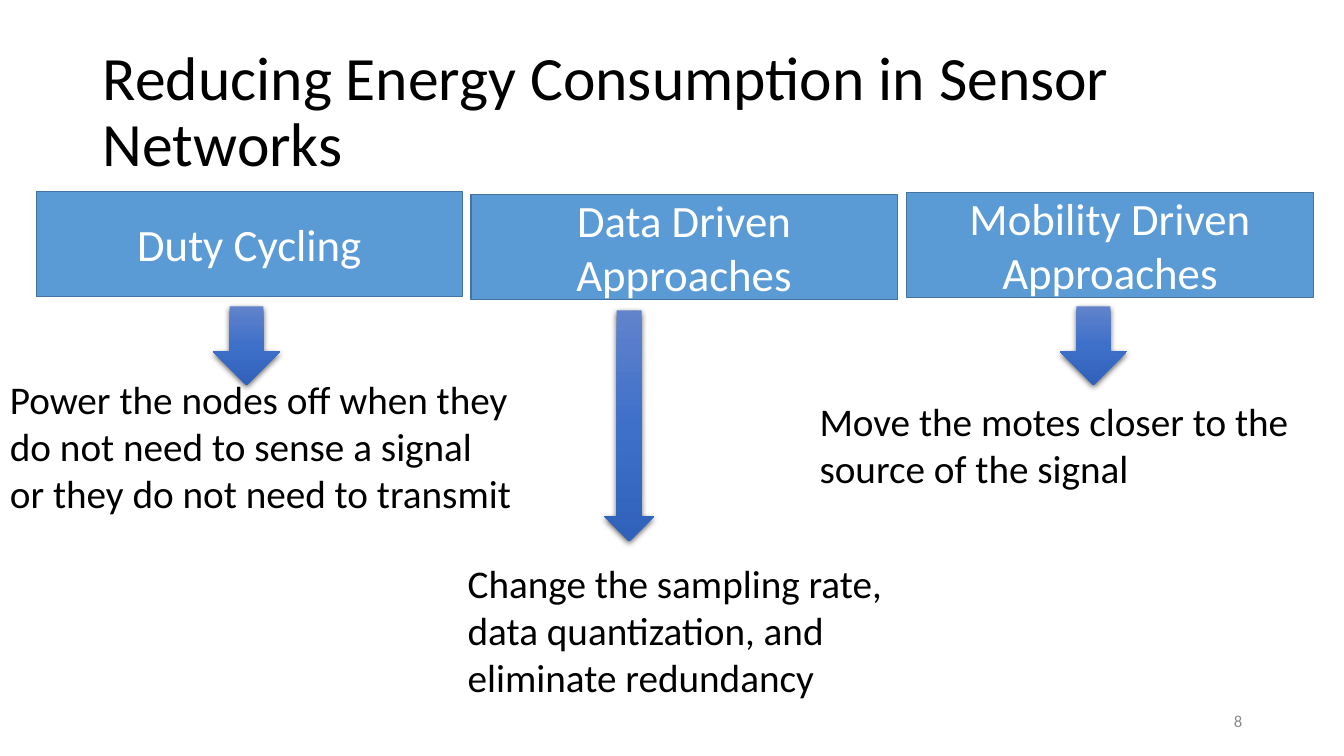
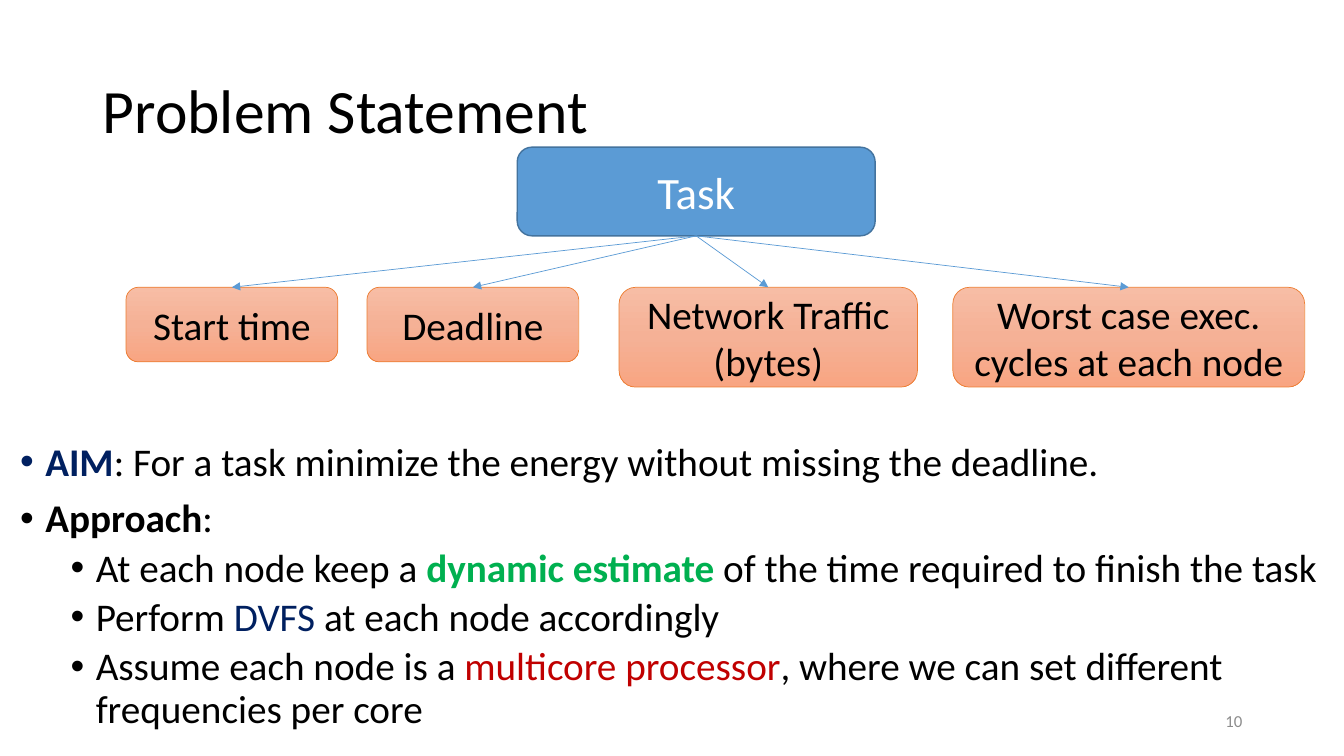
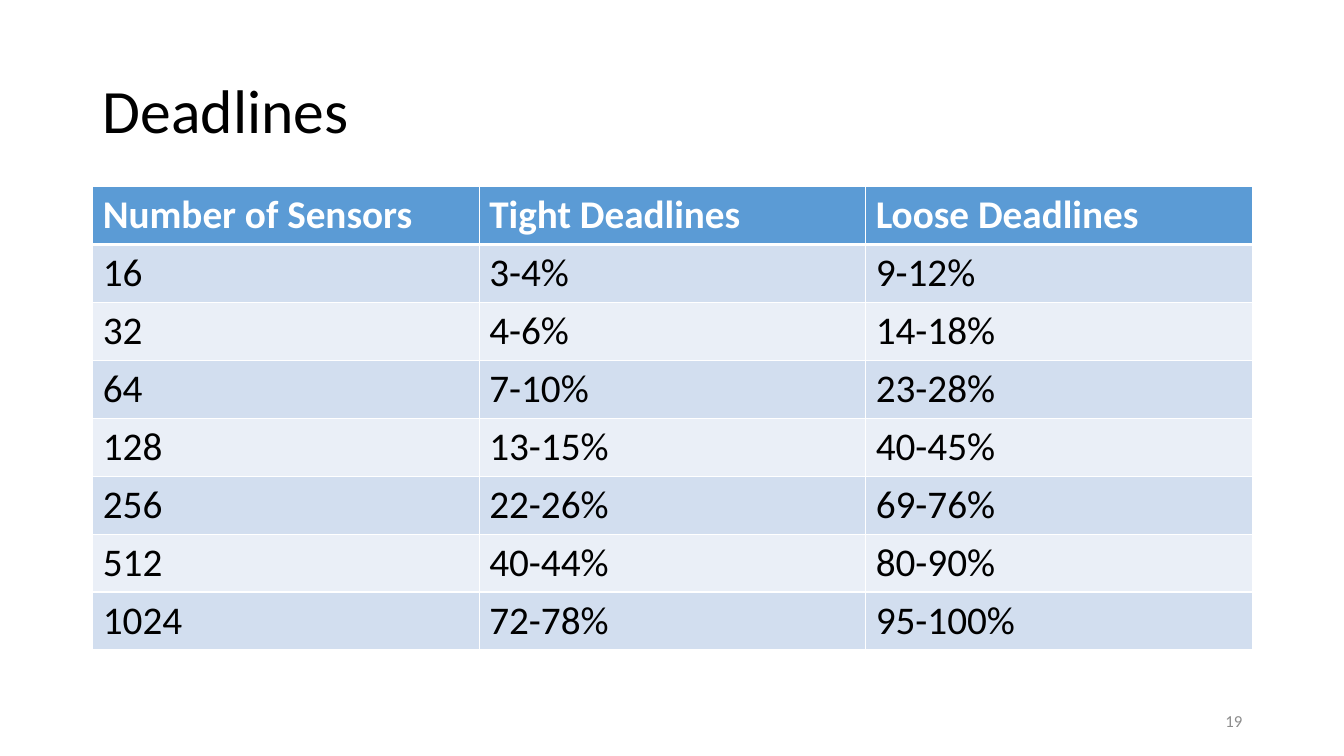
from copy import deepcopy

from lxml.etree import SubElement
from pptx import Presentation
from pptx.dml.color import RGBColor
from pptx.enum.shapes import MSO_CONNECTOR, MSO_SHAPE
from pptx.enum.text import MSO_ANCHOR, MSO_AUTO_SIZE, PP_ALIGN
from pptx.oxml.ns import qn
from pptx.util import Inches, Pt

FONT = "Calibri"
BLACK, WHITE, GREY = "000000", "FFFFFF", "8C8C8C"
BLUE, BLUE_EDGE, ORANGE = "5B9BD5", "43739E", "ED7D31"
NAVY, GREEN, RED = "002060", "00B050", "C00000"
BANDS = ["D2DEEF", "EAEFF7"]
ARROW_GRADIENT = ["6183CB", "3E70CA", "3062BB"]
PEACH_GRADIENT = ["F7BDA5", "F5B196", "F8A582"]

TITLE_AREA = (0.92, 0.4, 11.5, 1.45)
NUMBER_AREA = (9.42, 6.95, 3, 0.4)
TITLE_ONLY, TITLE_AND_BODY = 5, 1

APPROACHES = [
    {
        "name": "Duty Cycling",
        "header": (0.36, 1.9, 4.23, 1.04),
        "arrow": (2.11, 3.04, 0.67, 0.78),
        "note": (0, 3.67, 5.88, 1.51),
        "wrap": True,
        "lines": ["Power the nodes off when they\vdo not need to sense a signal\v"
                  "or they do not need to transmit"],
    },
    {
        "name": "Data Driven Approaches",
        "header": (4.67, 1.93, 4.23, 1.04),
        "arrow": (5.99, 3.08, 0.5, 2.29),
        "note": (4.54, 5.5, 4.35, 1.51),
        "wrap": False,
        "lines": ["Change the sampling rate,", "data quantization, and", "eliminate redundancy"],
    },
    {
        "name": "Mobility Driven Approaches",
        "header": (8.99, 1.91, 4.04, 1.04),
        "arrow": (10.51, 3.04, 0.67, 0.78),
        "note": (8.03, 3.89, 4.9, 1.04),
        "wrap": False,
        "lines": ["Move the motes closer to the", "source of the signal"],
    },
]

TASK_AREA = (5.13, 1.46, 3.55, 0.88)
PROPERTY_TOP = 2.85
TASK_PROPERTIES = [
    ("Start time", 1.25, 2.1, 0.74),
    ("Deadline", 3.64, 2.1, 0.74),
    ("Network Traffic (bytes)", 6.14, 2.96, 0.99),
    ("Worst case exec. cycles at each node", 9.45, 3.49, 0.99),
]

BODY_AREA = (0.1, 4.34, 13.33, 3.16)
STATEMENT = [
    (0, [("AIM", NAVY, True),
         (": For a task minimize the energy without missing the deadline.", BLACK, False)]),
    (0, [("Approach", BLACK, True), (":", BLACK, False)]),
    (1, [("At each node keep a ", BLACK, False), ("dynamic estimate ", GREEN, True),
         ("of the time required to finish the task", BLACK, False)]),
    (1, [("Perform ", BLACK, False), ("DVFS", NAVY, False),
         (" at each node accordingly", BLACK, False)]),
    (1, [("Assume each node is a ", BLACK, False), ("multicore processor", RED, False),
         (", where we can set different frequencies per core", BLACK, False)]),
]
LEVELS = [{"indent": 0.25, "before": 10}, {"indent": 0.75, "before": 5}]

TABLE_AREA = (0.92, 1.85, 11.5, 4.6)
DEADLINES = [
    ("Number of Sensors", "Tight Deadlines", "Loose Deadlines"),
    ("16", "3-4%", "9-12%"),
    ("32", "4-6%", "14-18%"),
    ("64", "7-10%", "23-28%"),
    ("128", "13-15%", "40-45%"),
    ("256", "22-26%", "69-76%"),
    ("512", "40-44%", "80-90%"),
    ("1024", "72-78%", "95-100%"),
]


def colour(value):
    return RGBColor.from_string(value)


def area(values):
    return [Inches(value) for value in values]


def assign(target, values):
    for name, value in values.items():
        setattr(target, name, value)


def style_span(span, size, ink, bold=False):
    assign(span.font, {"name": FONT, "size": Pt(size), "bold": bold})
    span.font.color.rgb = colour(ink)


def write(frame, lines, size, ink, bold=False, **layout):
    for index, line in enumerate(lines):
        para = frame.paragraphs[0] if index == 0 else frame.add_paragraph()
        para.text = line
        assign(para, layout)
        for span in para.runs:
            style_span(span, size, ink, bold)


def place(shape, values):
    assign(shape, dict(zip(("left", "top", "width", "height"), area(values))))


def add_page(deck, layout, title, number):
    page = deck.slides.add_slide(deck.slide_layouts[layout])
    heading = page.shapes.title
    place(heading, TITLE_AREA)
    assign(heading.text_frame, {"word_wrap": True, "auto_size": MSO_AUTO_SIZE.NONE,
                                "vertical_anchor": MSO_ANCHOR.MIDDLE})
    write(heading.text_frame, [title], 44, BLACK, alignment=PP_ALIGN.LEFT, line_spacing=0.9)
    box = page.shapes.add_textbox(*area(NUMBER_AREA))
    assign(box.text_frame, {"word_wrap": True, "vertical_anchor": MSO_ANCHOR.MIDDLE})
    write(box.text_frame, [number], 12, GREY, alignment=PP_ALIGN.RIGHT)
    return page


def fill_gradient(shape, inks):
    shape.fill.gradient()
    shape.fill.gradient_angle = 270
    stops = shape._element.spPr.find(".//" + qn("a:gsLst"))
    stops.append(deepcopy(stops[0]))
    for index, (stop, ink) in enumerate(zip(shape.fill.gradient_stops, inks)):
        stop.position = index / 2
        stop.color.rgb = colour(ink)


def add_label(page, kind, values, text, size, ink, edge, edge_width, fill):
    shape = page.shapes.add_shape(kind, *area(values))
    shape.shadow.inherit = False
    if isinstance(fill, list):
        fill_gradient(shape, fill)
    else:
        shape.fill.solid()
        shape.fill.fore_color.rgb = colour(fill)
    shape.line.color.rgb = colour(edge)
    shape.line.width = Pt(edge_width)
    assign(shape.text_frame, {"word_wrap": True, "vertical_anchor": MSO_ANCHOR.MIDDLE})
    write(shape.text_frame, [text], size, ink, alignment=PP_ALIGN.CENTER)
    return shape


def add_block_arrow(page, values):
    arrow = page.shapes.add_shape(MSO_SHAPE.DOWN_ARROW, *area(values))
    fill_gradient(arrow, ARROW_GRADIENT)
    arrow.line.fill.background()
    arrow.shadow.inherit = False
    effects = arrow._element.spPr.find(qn("a:effectLst"))
    shadow = SubElement(effects, qn("a:outerShdw"), blurRad=str(Pt(4.5)), dist=str(Pt(1.5)),
                        dir="5400000", algn="ctr", rotWithShape="0")
    ink = SubElement(shadow, qn("a:srgbClr"), val=BLACK)
    SubElement(ink, qn("a:alpha"), val="63000")


def add_link(page, start, end):
    link = page.shapes.add_connector(MSO_CONNECTOR.STRAIGHT, 0, 0, 0, 0)
    link.begin_connect(start, 2)
    link.end_connect(end, 0)
    link.line.color.rgb = colour(BLUE)
    link.line.width = Pt(0.5)
    properties = link._element.spPr
    SubElement(properties.find(qn("a:ln")), qn("a:tailEnd"), type="triangle")
    SubElement(properties, qn("a:effectLst"))


def add_bullets(frame, items):
    for index, (level, spans) in enumerate(items):
        para = frame.paragraphs[0] if index == 0 else frame.add_paragraph()
        before = LEVELS[level]["before"] if index else 0
        assign(para, {"level": level, "line_spacing": 0.9, "space_before": Pt(before)})
        properties = para._p.get_or_add_pPr()
        properties.set("marL", str(Inches(LEVELS[level]["indent"])))
        properties.set("indent", str(Inches(-0.25)))
        SubElement(properties, qn("a:buFont"), typeface="Arial")
        SubElement(properties, qn("a:buChar"), char="•")
        for text, ink, bold in spans:
            span = para.add_run()
            span.text = text
            style_span(span, 28, ink, bold)


def set_borders(cell, widths):
    properties = cell._tc.get_or_add_tcPr()
    for side, width in widths.items():
        line = SubElement(properties, qn("a:ln" + side), w=str(Pt(width)))
        SubElement(SubElement(line, qn("a:solidFill")), qn("a:srgbClr"), val=WHITE)


def build_approaches(deck):
    page = add_page(deck, TITLE_ONLY, "Reducing Energy Consumption in Sensor Networks", "8")
    for approach in APPROACHES:
        add_label(page, MSO_SHAPE.RECTANGLE, approach["header"], approach["name"],
                  32, WHITE, BLUE_EDGE, 1, BLUE)
        note = page.shapes.add_textbox(*area(approach["note"]))
        assign(note.text_frame, {"word_wrap": approach["wrap"],
                                 "auto_size": MSO_AUTO_SIZE.SHAPE_TO_FIT_TEXT})
        write(note.text_frame, approach["lines"], 28, BLACK)
        add_block_arrow(page, approach["arrow"])


def build_problem(deck):
    page = add_page(deck, TITLE_AND_BODY, "Problem Statement", "10")
    body = page.placeholders[1]
    place(body, BODY_AREA)
    assign(body.text_frame, {"word_wrap": True, "auto_size": MSO_AUTO_SIZE.NONE})
    add_bullets(body.text_frame, STATEMENT)
    task = add_label(page, MSO_SHAPE.ROUNDED_RECTANGLE, TASK_AREA, "Task",
                     32, WHITE, BLUE_EDGE, 1, BLUE)
    for text, left, width, height in TASK_PROPERTIES:
        label = add_label(page, MSO_SHAPE.ROUNDED_RECTANGLE, (left, PROPERTY_TOP, width, height),
                          text, 28, BLACK, ORANGE, 0.5, PEACH_GRADIENT)
        add_link(page, task, label)


def build_deadlines(deck):
    page = add_page(deck, TITLE_ONLY, "Deadlines", "19")
    table = page.shapes.add_table(len(DEADLINES), len(DEADLINES[0]), *area(TABLE_AREA)).table
    for row, values in enumerate(DEADLINES):
        header = row == 0
        for column, text in enumerate(values):
            cell = table.cell(row, column)
            set_borders(cell, {"L": 1, "R": 1, "T": 3 if row == 1 else 1, "B": 3 if header else 1})
            cell.fill.solid()
            cell.fill.fore_color.rgb = colour(BLUE if header else BANDS[(row - 1) % 2])
            write(cell.text_frame, [text], 28, WHITE if header else BLACK, header)


def main():
    deck = Presentation()
    assign(deck, {"slide_width": Inches(13.33), "slide_height": Inches(7.5)})
    for build in (build_approaches, build_problem, build_deadlines):
        build(deck)
    deck.save("out.pptx")


if __name__ == "__main__":
    main()
